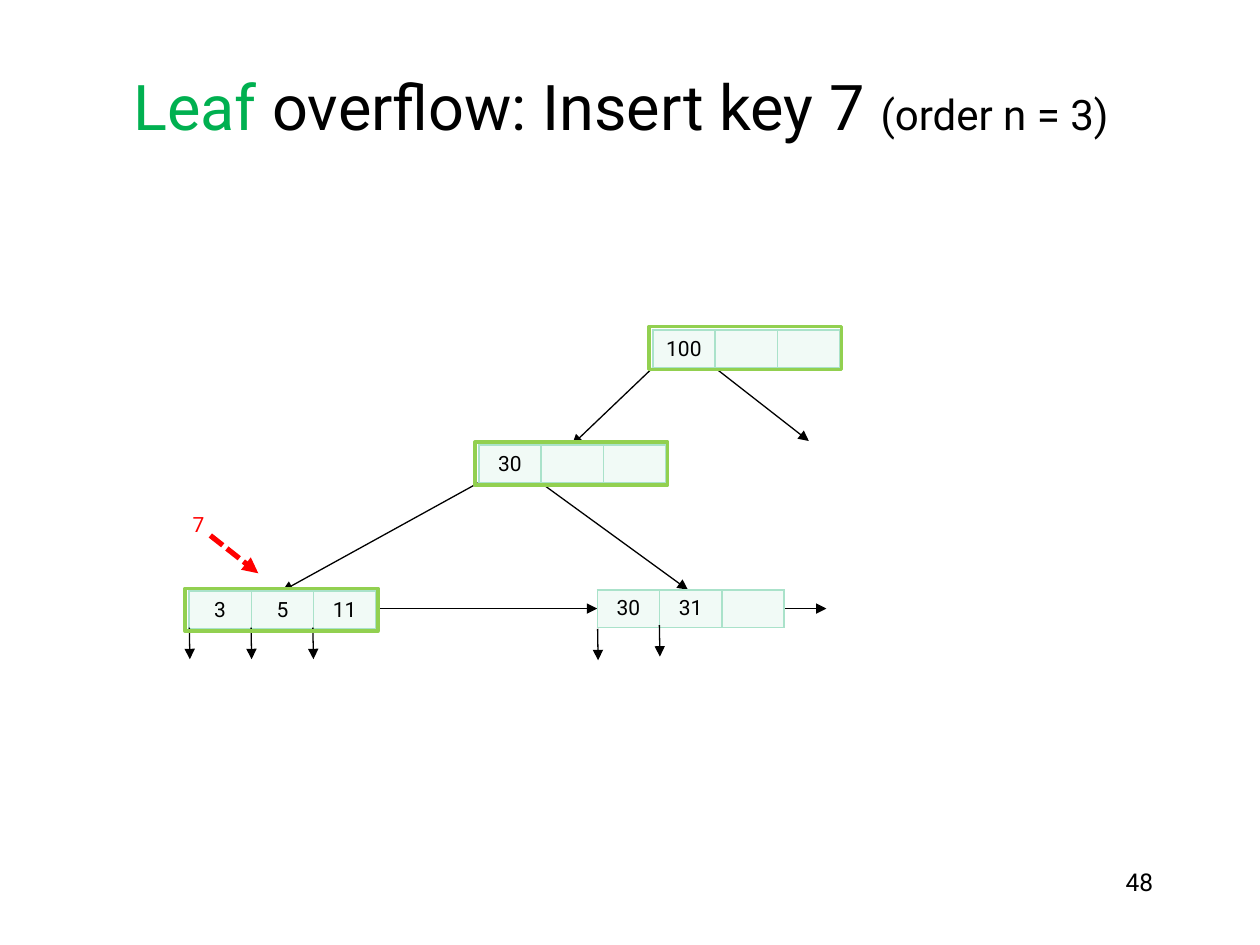
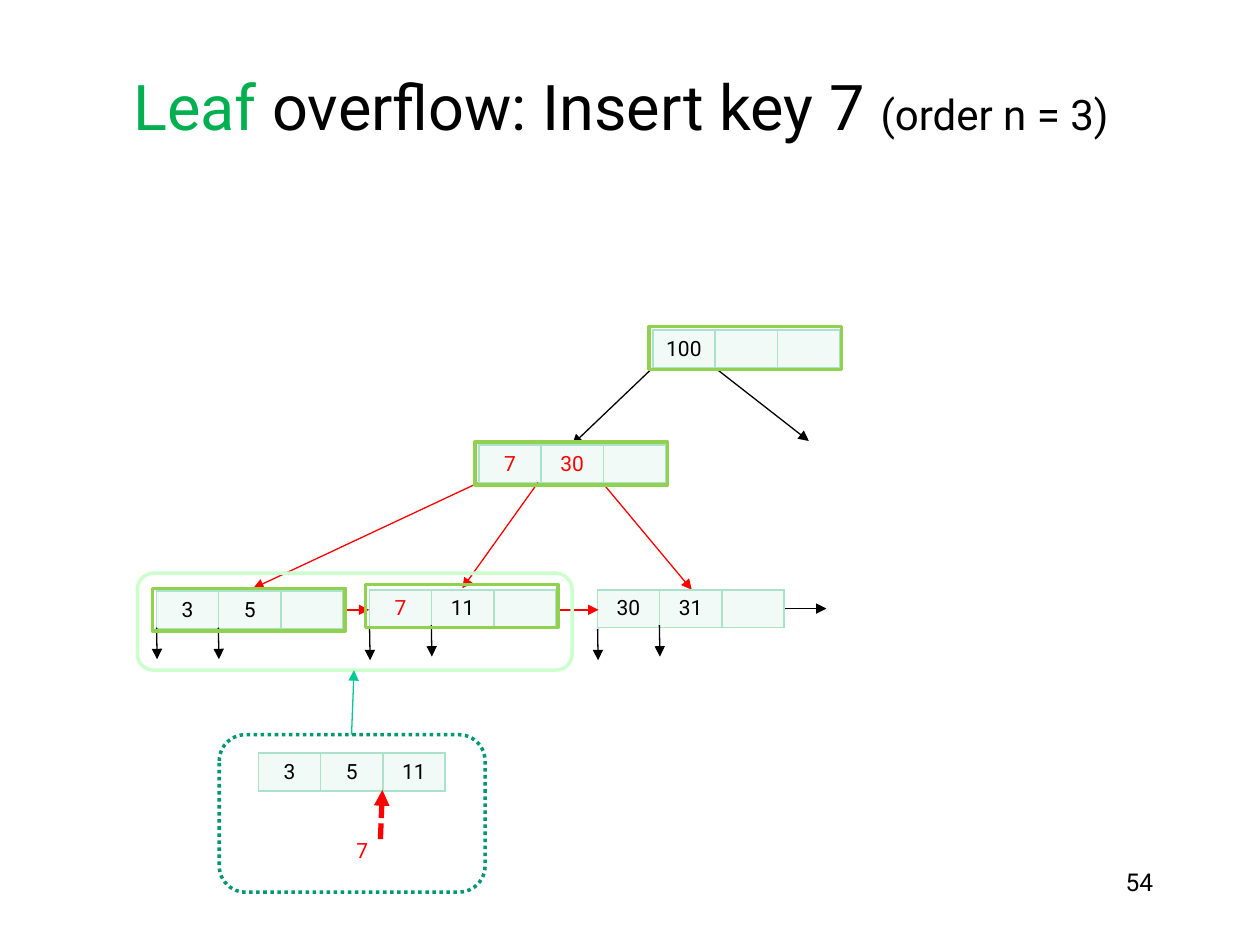
from lxml import etree
from pptx import Presentation
from pptx.dml.color import RGBColor
from pptx.enum.dml import MSO_LINE
from pptx.enum.shapes import MSO_CONNECTOR, MSO_SHAPE
from pptx.enum.text import MSO_ANCHOR, PP_ALIGN
from pptx.oxml.ns import qn
from pptx.util import Pt

# Shared style
FONT = "Roboto"
BLACK, RED, GREEN = "000000", "FF0000", "00B050"
CELL_FILL, CELL_BORDER = "F1FAF6", "AAE2CA"
PATH_GREEN, SPLIT_GREEN = "92D050", "CCFFCC"
DETAIL_GREEN, DETAIL_ARROW = "009771", "00C896"

# Shared geometry, in points
CELL_WIDTH, CELL_HEIGHT, CELLS = 35.6, 21.4, 3
ROOT = (373, 188.6)
INNER = (273.6, 254.2)
RIGHT_LEAF = (341.3, 337)
POINTER_LENGTH = 18
LEVEL_STARTS = (21, 21, 21)
STEPPED_STARTS = (22.3, 20.2)


def color(hex_string):
    return RGBColor.from_string(hex_string)


def format_run(run, size, hex_string):
    run.font.name = FONT
    run.font.size = Pt(size)
    run.font.color.rgb = color(hex_string)


def add_text(slide, box, runs, alignment=PP_ALIGN.LEFT, wrap=True, top_inset=3.6):
    shape = slide.shapes.add_textbox(*map(Pt, box))
    text_frame = shape.text_frame
    text_frame.word_wrap = wrap
    text_frame.margin_top = Pt(top_inset)
    paragraph = text_frame.paragraphs[0]
    paragraph.alignment = alignment
    for text, size, hex_string in runs:
        run = paragraph.add_run()
        run.text = text
        format_run(run, size, hex_string)


def add_arrow(slide, start, end, hex_string=BLACK, width=0.75, dash=None):
    connector = slide.shapes.add_connector(
        MSO_CONNECTOR.STRAIGHT, *map(Pt, start + end))
    connector.line.color.rgb = color(hex_string)
    connector.line.width = Pt(width)
    if dash:
        connector.line.dash_style = dash
    line = connector.line._get_or_add_ln()
    etree.SubElement(line, qn("a:tailEnd"), type="triangle")
    etree.SubElement(connector._element.spPr, qn("a:effectLst"))


def add_outline(slide, box, hex_string, kind=MSO_SHAPE.RECTANGLE, dash=None):
    shape = slide.shapes.add_shape(kind, *map(Pt, box))
    shape.shadow.inherit = False
    shape.fill.background()
    shape.line.color.rgb = color(hex_string)
    shape.line.width = Pt(2)
    if dash:
        shape.line.dash_style = dash


def highlight_node(slide, node, lift=1.5):
    left, top = node
    add_outline(slide, (left - 2.2, top - lift, 110.2, 24.5), PATH_GREEN)


def add_cell_borders(cell):
    properties = cell._tc.get_or_add_tcPr()
    for index, side in enumerate(("lnL", "lnR", "lnT", "lnB")):
        border = etree.Element(qn(f"a:{side}"), w=str(Pt(1)))
        fill = etree.SubElement(border, qn("a:solidFill"))
        etree.SubElement(fill, qn("a:srgbClr"), val=CELL_BORDER)
        properties.insert(index, border)


def add_node(slide, node, keys, new_keys=()):
    """Draw a tree node whose unused key cells stay empty."""
    frame = slide.shapes.add_table(
        1, CELLS, Pt(node[0]), Pt(node[1]), Pt(CELL_WIDTH * CELLS), Pt(CELL_HEIGHT))
    table = frame.table
    table.first_row = table.horz_banding = False
    table.rows[0].height = Pt(CELL_HEIGHT)
    for index in range(CELLS):
        table.columns[index].width = Pt(CELL_WIDTH)
        cell = table.cell(0, index)
        cell.vertical_anchor = MSO_ANCHOR.MIDDLE
        cell.fill.solid()
        cell.fill.fore_color.rgb = color(CELL_FILL)
        add_cell_borders(cell)
        paragraph = cell.text_frame.paragraphs[0]
        paragraph.alignment = PP_ALIGN.CENTER
        if index < len(keys):
            key = keys[index]
            paragraph.text = key
            format_run(paragraph.runs[0], 12, RED if key in new_keys else BLACK)
        else:
            etree.SubElement(paragraph._p, qn("a:endParaRPr"), sz="1200")


def add_record_pointers(slide, node, starts):
    left, top = node
    for index, start in enumerate(starts):
        x, y = left + 0.2 + index * 35.3, top + start
        add_arrow(slide, (x, y), (x + 0.3, y + POINTER_LENGTH))


def add_inserted_key(slide, left, top, start, end):
    add_text(slide, (left, top, 20.9, 21.6), [("7", 12, RED)],
             PP_ALIGN.CENTER, wrap=False)
    add_arrow(slide, start, end, RED, 3, MSO_LINE.SQUARE_DOT)


def add_tree_slide(presentation, number, inner_links):
    """Add the title, number, root and right leaf found on each step."""
    slide = presentation.slides.add_slide(presentation.slide_layouts[6])
    add_text(slide, (69.1, 32.4, 596.9, 46.8), [
        ("Leaf", 36, GREEN),
        (" overflow: Insert key 7 ", 36, BLACK),
        ("(order n = 3)", 24, BLACK),
    ], top_inset=6.2)
    add_text(slide, (516.2, 491.8, 149.8, 36), [(number, 14, BLACK)], PP_ALIGN.RIGHT)

    # Links lie behind the nodes
    add_arrow(slide, (448.6, 347.8), (472.3, 347.8))
    add_arrow(slide, (373, 210.2), (326.9, 254.2))
    add_arrow(slide, (406.8, 208.8), (462.2, 252))
    for start, end, hex_string in inner_links:
        add_arrow(slide, start, end, hex_string)

    add_node(slide, ROOT, ["100"])
    add_node(slide, RIGHT_LEAF, ["30", "31"])
    add_record_pointers(slide, RIGHT_LEAF, STEPPED_STARTS)
    return slide


def build_insert_slide(presentation):
    slide = add_tree_slide(presentation, "48", [
        ((273.6, 275.8), (161.3, 337.7), BLACK),
        ((308.9, 275.8), (393.1, 337), BLACK),
        ((214.6, 347.8), (341.3, 347.8), BLACK),
    ])
    full_leaf = (108, 337.7)
    add_node(slide, INNER, ["30"])
    add_node(slide, full_leaf, ["3", "5", "11"])
    add_record_pointers(slide, full_leaf, LEVEL_STARTS)
    add_inserted_key(slide, 103, 288.7, (120.2, 306), (147.6, 327.6))

    # Search path
    highlight_node(slide, ROOT, 2)
    highlight_node(slide, INNER)
    highlight_node(slide, full_leaf)


def build_split_slide(presentation):
    slide = add_tree_slide(presentation, "54", [
        ((273.6, 275.8), (144.7, 336.2), RED),
        ((344.2, 275.8), (395.3, 337), RED),
    ])
    first_half, second_half = (89.3, 337.7), (211, 337)
    add_node(slide, INNER, ["7", "30"], new_keys=["7", "30"])
    add_node(slide, first_half, ["3", "5"])
    add_node(slide, second_half, ["7", "11"], new_keys=["7"])
    add_record_pointers(slide, first_half, LEVEL_STARTS[:2])
    add_record_pointers(slide, second_half, STEPPED_STARTS)

    # New links after the split
    add_arrow(slide, (196.6, 348.5), (211, 348.5), RED)
    add_arrow(slide, (317.5, 348.5), (342, 348.5), RED)
    add_arrow(slide, (307.4, 275.8), (264.2, 336.2), RED)

    # Leaf before the split
    add_node(slide, (147.6, 430.4), ["3", "5", "11"])
    add_inserted_key(slide, 196.6, 475.2, (217.4, 479.5), (218.5, 451.4))
    add_outline(slide, (125.3, 419.8, 151.9, 90), DETAIL_GREEN,
                MSO_SHAPE.ROUNDED_RECTANGLE, MSO_LINE.ROUND_DOT)

    # Changed nodes
    highlight_node(slide, ROOT, 2)
    highlight_node(slide, INNER)
    highlight_node(slide, first_half)
    highlight_node(slide, second_half, 2.9)
    add_outline(slide, (78.5, 327.6, 248.4, 55.4), SPLIT_GREEN,
                MSO_SHAPE.ROUNDED_RECTANGLE)
    add_arrow(slide, (200.9, 419.8), (202.3, 383), DETAIL_ARROW)


def main():
    presentation = Presentation()
    presentation.slide_width, presentation.slide_height = Pt(720), Pt(540)
    build_insert_slide(presentation)
    build_split_slide(presentation)
    presentation.save("out.pptx")


if __name__ == "__main__":
    main()
